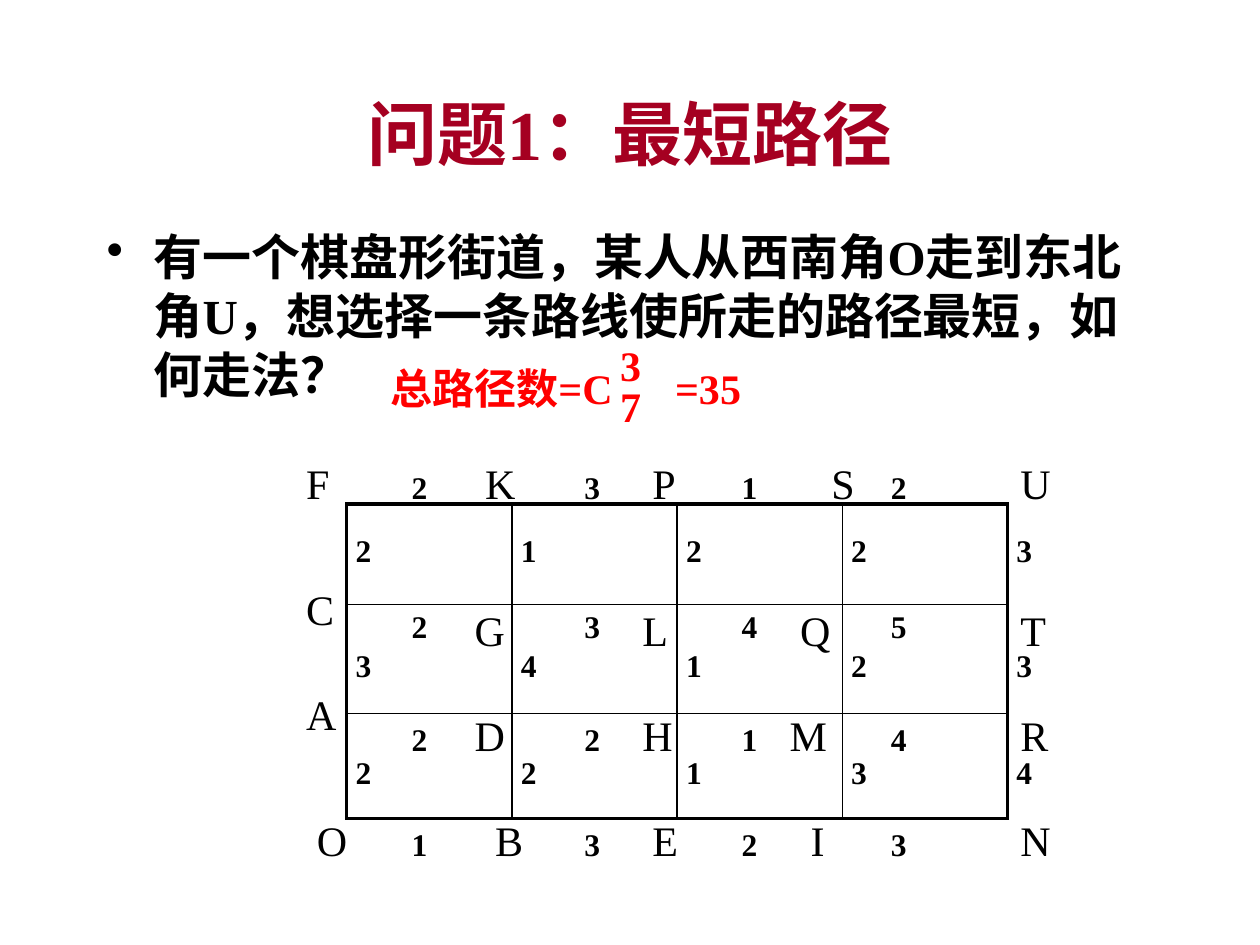
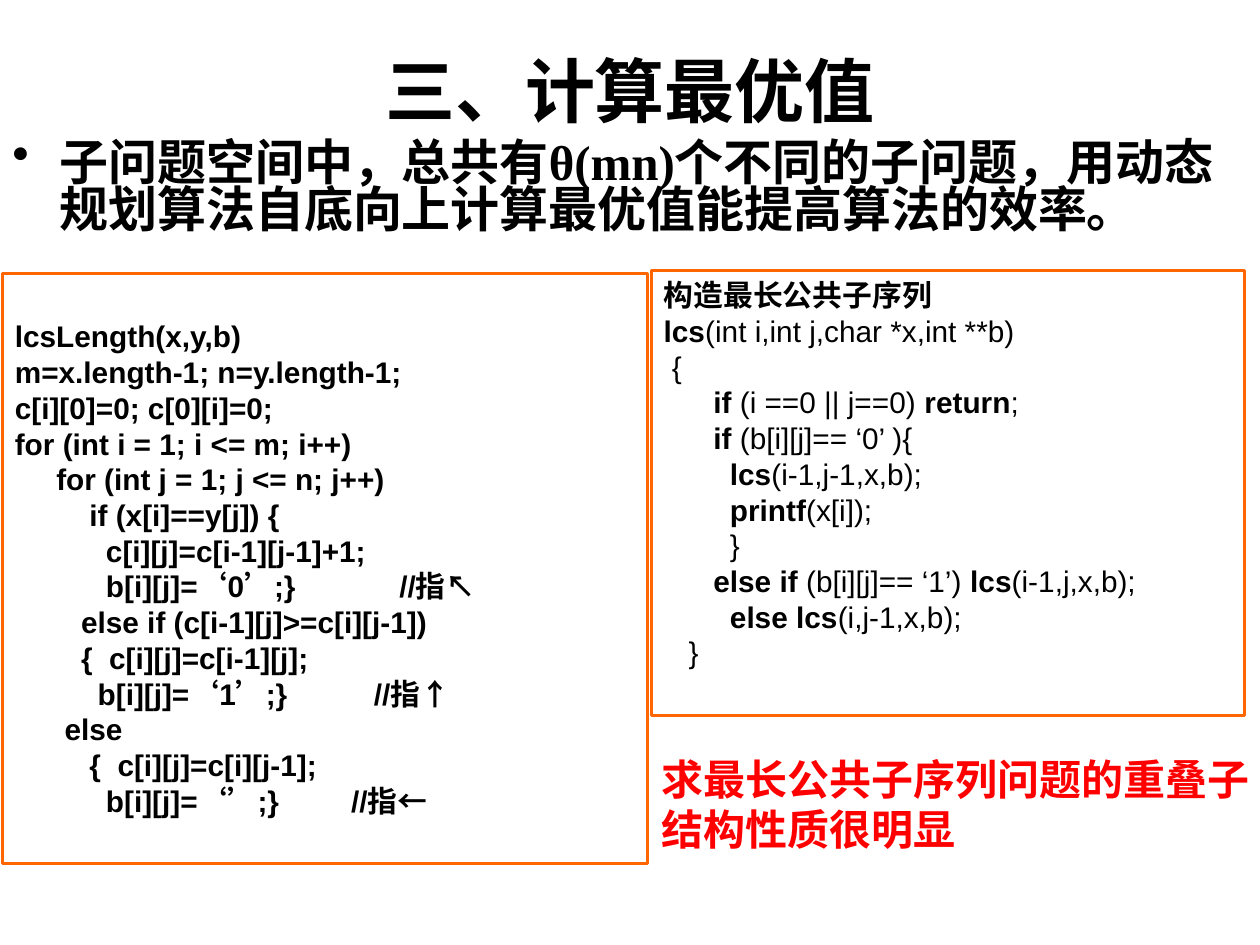
import dataclasses

import lxml.etree
import pptx
import pptx.dml.color
import pptx.enum.shapes
import pptx.enum.text
import pptx.oxml.ns
import pptx.util

Cm = pptx.util.Cm
Pt = pptx.util.Pt
RGB = pptx.dml.color.RGBColor
ALIGN = pptx.enum.text.PP_ALIGN
ANCHOR = pptx.enum.text.MSO_ANCHOR
qn = pptx.oxml.ns.qn


@dataclasses.dataclass(frozen=True)
class Theme:
    serif: str = "Times New Roman"
    sans: str = "Arial"
    black: RGB = RGB.from_string("000000")
    crimson: RGB = RGB.from_string("A50021")
    red: RGB = RGB.from_string("FF0000")
    orange: RGB = RGB.from_string("FF6600")
    title: Pt = Pt(40)
    body: Pt = Pt(28)
    label: Pt = Pt(24)
    weight: Pt = Pt(18)
    code: Pt = Pt(17)
    thick: Pt = Pt(2.25)
    thin: Pt = Pt(1)
    frame: Pt = Pt(1.75)


THEME = Theme()


def write_paragraph(paragraph, segments, size, color=THEME.black,
                    font=THEME.serif, bold=True, stops=()):
    """Add one run per segment, switching bold on and off; stops are tab stops in cm."""
    for index, segment in enumerate(segments):
        if segment:
            run = paragraph.add_run()
            run.text = segment
            run.font.name = font
            run.font.size = size
            run.font.bold = bold and index % 2 == 0
            run.font.color.rgb = color
    if stops:
        tabs = lxml.etree.SubElement(paragraph._p.get_or_add_pPr(), qn("a:tabLst"))
        for stop in stops:
            lxml.etree.SubElement(tabs, qn("a:tab"), pos=str(Cm(stop)), algn="l")


def add_text(slide, box, text, size, bulleted=False, line_spacing=None, **style):
    """Add a text box at box (left, top, width, height in cm) and return its frame."""
    frame = slide.shapes.add_textbox(*map(Cm, box)).text_frame
    frame.word_wrap = True
    paragraph = frame.paragraphs[0]
    if line_spacing:
        paragraph.line_spacing = line_spacing
    write_paragraph(paragraph, [text], size, **style)
    if bulleted:
        properties = paragraph._p.get_or_add_pPr()
        properties.set("marL", str(Cm(0.95)))
        properties.set("indent", str(Cm(-0.95)))
        lxml.etree.SubElement(properties, qn("a:buChar"), char="•")
    return frame


deck = pptx.Presentation()
deck.slide_width, deck.slide_height = Cm(25.4), Cm(19.05)
blank = deck.slide_layouts[6]

# Slide 1: shortest path on a street grid
streets = deck.slides.add_slide(blank)
title = add_text(streets, (1.9, 1.7, 21.6, 1.7), "问题1：最短路径", THEME.title,
                 color=THEME.crimson)
title.paragraphs[0].alignment = ALIGN.CENTER
add_text(streets, (1.9, 4.45, 21.6, 4.45),
         "有一个棋盘形街道，某人从西南角O走到东北角U，想选择一条路线使所走的路径最短，如何走法？",
         THEME.body, bulleted=True)

GRID_LEFT, GRID_TOP, BLOCK_WIDTH = 6.99, 10.16, 3.33
BLOCK_HEIGHTS = [2.03, 2.19, 2.12]
ROWS, COLUMNS = len(BLOCK_HEIGHTS), 4
blocks = streets.shapes.add_table(
    ROWS, COLUMNS, Cm(GRID_LEFT), Cm(GRID_TOP),
    Cm(COLUMNS * BLOCK_WIDTH), Cm(sum(BLOCK_HEIGHTS))).table
blocks.first_row = blocks.horz_banding = False
for column in blocks.columns:
    column.width = Cm(BLOCK_WIDTH)
for row, height in enumerate(BLOCK_HEIGHTS):
    blocks.rows[row].height = Cm(height)
    for column in range(COLUMNS):
        block = blocks.cell(row, column)
        outer_sides = {"lnL": column == 0, "lnR": column == COLUMNS - 1,
                       "lnT": row == 0, "lnB": row == ROWS - 1}
        properties = block._tc.get_or_add_tcPr()
        for side, outer in outer_sides.items():
            border = lxml.etree.SubElement(
                properties, qn("a:" + side), w=str(THEME.thick if outer else THEME.thin))
            ink = lxml.etree.SubElement(border, qn("a:solidFill"))
            lxml.etree.SubElement(ink, qn("a:srgbClr"), val=str(THEME.black))
        block.fill.background()

crossings = [
    (9.1, {"F": 5.92, "K": 9.53, "P": 12.9, "S": 16.51, "U": 20.32}),
    (11.64, {"C": 5.92}),
    (12.07, {"G": 9.32, "L": 12.7, "Q": 15.88, "T": 20.32}),
    (13.76, {"A": 5.92}),
    (14.18, {"D": 9.32, "H": 12.7, "M": 15.67, "R": 20.32}),
    (16.3, {"O": 6.14, "B": 9.73, "E": 12.9, "I": 16.09, "N": 20.32}),
]
for top, names in crossings:
    for name, left in names.items():
        add_text(streets, (left, top, 1.06, 1.27), name, THEME.label, bold=False)

eastward_lefts = [8.05, 11.53, 14.7, 17.71]
northward_lefts = [6.92 + BLOCK_WIDTH * column for column in range(COLUMNS + 1)]
street_lengths = [
    (9.32, eastward_lefts, "2312"),
    (12.12, eastward_lefts, "2345"),
    (14.4, eastward_lefts, "2214"),
    (16.51, eastward_lefts, "1323"),
    (10.59, northward_lefts, "21223"),
    (12.9, northward_lefts, "34123"),
    (15.06, northward_lefts, "22134"),
]
for top, lefts, lengths in street_lengths:
    for left, length in zip(lefts, lengths):
        add_text(streets, (left, top, 1, 1.02), length, THEME.weight)

add_text(streets, (7.62, 7.19, 8.05, 1.27), "总路径数=C\t=35", THEME.label,
         color=THEME.red, stops=[5.74])
combination = add_text(streets, (12.5, 7.24, 1.06, 1.5), "3", THEME.label, color=THEME.red)
combination.margin_left = combination.margin_right = 0
combination.margin_top = combination.margin_bottom = Cm(0.03)
combination.vertical_anchor = ANCHOR.MIDDLE
write_paragraph(combination.add_paragraph(), ["7"], THEME.label, THEME.red)
for paragraph in combination.paragraphs:
    paragraph.line_spacing = 0.4
    paragraph.space_before = Pt(12)

# Slide 2: computing the optimal value
optimum = deck.slides.add_slide(blank)
title = add_text(optimum, (1.9, 0.64, 21.6, 2.33), "三、计算最优值", THEME.title)
title.paragraphs[0].alignment = ALIGN.CENTER
title.vertical_anchor = ANCHOR.MIDDLE
add_text(optimum, (0, 2.75, 25.4, 2.33),
         "子问题空间中，总共有θ(mn)个不同的子问题，用动态规划算法自底向上计算最优值能提高算法的效率。",
         THEME.body, bulleted=True, line_spacing=0.8)

# Each line: indent in characters, further tab stops in cm, bold and plain segments in turn
length_code = [
    (0, [], ["lcsLength(x,y,b)"]),
    (0, [], ["m=x.length-1; n=y.length-1;"]),
    (0, [], ["c[i][0]=0; c[0][i]=0;"]),
    (0, [], ["for (int i = 1; i <= m; i++)"]),
    (5, [], ["for (int j = 1; j <= n; j++)"]),
    (9, [], ["if (x[i]==y[j]) {"]),
    (11, [], ["c[i][j]=c[i-1][j-1]+1;"]),
    (11, [7.75], ["b[i][j]=‘0’;}\t//指↖"]),
    (8, [], ["else if (c[i-1][j]>=c[i][j-1])"]),
    (8, [1.9], ["{\tc[i][j]=c[i-1][j];"]),
    (10, [7.24], ["b[i][j]=‘1’;}\t//指↑"]),
    (6, [], ["else"]),
    (9, [2.07], ["{\tc[i][j]=c[i][j-1];"]),
    (11, [6.78], ["b[i][j]=‘’;}\t//指←"]),
]
sequence_code = [
    (0, [], ["构造最长公共子序列"]),
    (0, [], ["lcs", "(int i,int j,char *x,int **b)"]),
    (1, [], ["", "{"]),
    (6, [], ["if", " (i ==0 || j==0) ", "return", ";"]),
    (6, [], ["if", " (b[i][j]== ‘0’ ){"]),
    (8, [], ["lcs", "(i-1,j-1,x,b);"]),
    (8, [], ["printf", "(x[i]);"]),
    (8, [], ["", "}"]),
    (6, [], ["else if", " (b[i][j]== ‘1’) ", "lcs", "(i-1,j,x,b);"]),
    (8, [], ["else lcs", "(i,j-1,x,b);"]),
    (3, [], ["", "}"]),
]
CHARACTER_INDENT = 0.167
panels = [
    ((0.05, 5.51, 13, 11.89), ANCHOR.MIDDLE, length_code),
    ((13.13, 5.46, 11.96, 8.97), ANCHOR.TOP, sequence_code),
]
for box, anchor, code in panels:
    panel = optimum.shapes.add_shape(
        pptx.enum.shapes.MSO_SHAPE.RECTANGLE, *map(Cm, box))
    panel.shadow.inherit = False
    panel.fill.background()
    panel.line.color.rgb = THEME.orange
    panel.line.width = THEME.frame
    listing = panel.text_frame
    listing.word_wrap = True
    listing.vertical_anchor = anchor
    for number, (indent, stops, segments) in enumerate(code):
        line = listing.add_paragraph() if number else listing.paragraphs[0]
        line.alignment = ALIGN.LEFT
        if indent:
            stops = [indent * CHARACTER_INDENT] + stops
            first = 0 if segments[0] else 1
            segments = segments[:first] + ["\t" + segments[first]] + segments[first + 1:]
        write_paragraph(line, segments, THEME.code, font=THEME.sans, stops=stops)
listing.paragraphs[0].runs[0].font.name = THEME.serif

add_text(optimum, (13.08, 15.06, 12.7, 2.31),
         "求最长公共子序列问题的重叠子结构性质很明显", THEME.label, color=THEME.red)

deck.save("out.pptx")
